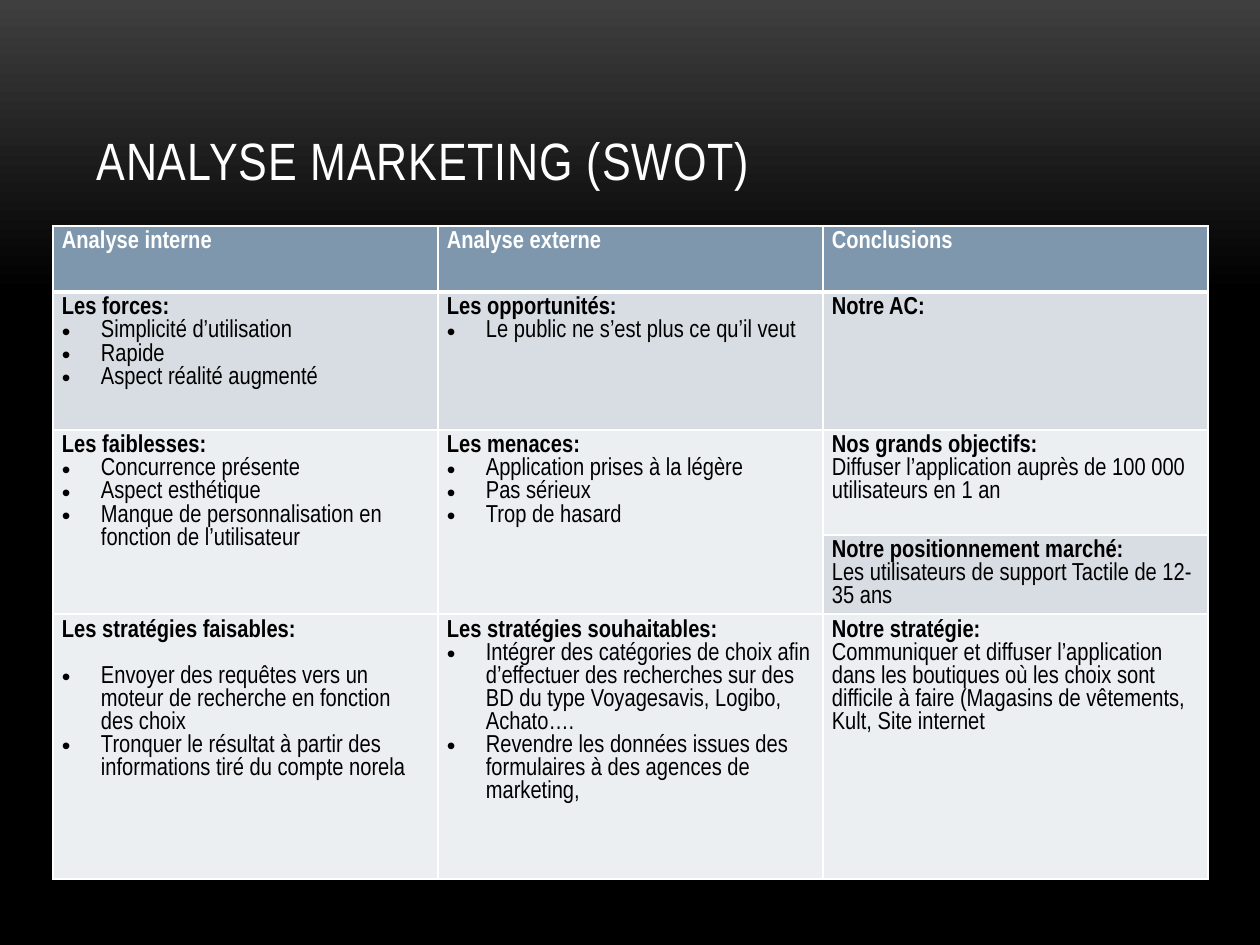
from dataclasses import dataclass

from lxml import etree
from pptx import Presentation
from pptx.dml.color import RGBColor
from pptx.enum.text import MSO_ANCHOR, PP_ALIGN
from pptx.oxml.ns import qn
from pptx.util import Emu, Pt

BOTTOM, TOP = MSO_ANCHOR.BOTTOM, MSO_ANCHOR.TOP
LEFT = PP_ALIGN.LEFT
PIXEL = 914400 // 126
TITLE_ONLY = 5


@dataclass(frozen=True)
class Theme:
    """Colours, font and type sizes of the slide."""
    font: str = "Arial Narrow"
    title_size: int = 30
    body_size: int = 14
    glow: str = "3F3F3F"
    black: str = "000000"
    white: str = "FFFFFF"
    header: str = "7E97AD"
    dark_band: str = "D8DDE3"
    light_band: str = "ECEFF1"


THEME = Theme()
COLUMN_WIDTH = 385
ROW_HEIGHTS = [66, 138, 105, 78, 265]
ROW_FILLS = [THEME.header, THEME.dark_band, THEME.light_band,
             THEME.dark_band, THEME.light_band]
HEADINGS = ["Analyse interne", "Analyse externe", "Conclusions"]

# (row, column): heading, bulleted?, paragraphs
CONTENT = {
    (1, 0): ("Les forces:", True, [
        "Simplicité d’utilisation", "Rapide", "Aspect réalité augmenté"]),
    (1, 1): ("Les opportunités:", True, [
        "Le public ne s’est plus ce qu’il veut"]),
    (1, 2): ("Notre AC:", False, []),
    (2, 0): ("Les faiblesses:", True, [
        "Concurrence présente", "Aspect esthétique",
        "Manque de personnalisation en fonction de l’utilisateur"]),
    (2, 1): ("Les menaces:", True, [
        "Application prises à la légère", "Pas sérieux", "Trop de hasard"]),
    (2, 2): ("Nos grands objectifs:", False, [
        "Diffuser l’application auprès de 100 000 utilisateurs en 1 an"]),
    (3, 2): ("Notre positionnement marché:", False, [
        "Les utilisateurs de support Tactile de 12-35 ans"]),
    (4, 0): ("Les stratégies faisables:", True, [
        "Envoyer des requêtes vers un moteur de recherche en fonction des choix",
        "Tronquer le résultat à partir des informations tiré du compte norela"]),
    (4, 1): ("Les stratégies souhaitables:", True, [
        "Intégrer des catégories de choix afin d’effectuer des recherches sur "
        "des BD du type Voyagesavis, Logibo, Achato….",
        "Revendre les données issues des formulaires à des agences de marketing,"]),
    (4, 2): ("Notre stratégie:", False, [
        "Communiquer et diffuser l’application dans les boutiques où les choix "
        "sont difficile à faire (Magasins de vêtements, Kult, Site internet"]),
}
SPACED_HEADING = (4, 0)


def px(length):
    """Turn pixels into EMU."""
    return Emu(length * PIXEL)


def add_span(para, text, size, color, bold=False):
    """Add one formatted run to a paragraph."""
    span = para.add_run()
    span.text = text
    font = span.font
    font.name, font.size, font.bold = THEME.font, Pt(size), bold
    font.color.rgb = RGBColor.from_string(color)
    return span


def set_bullet(para):
    """Give a paragraph a hanging bullet."""
    properties = para._p.get_or_add_pPr()
    properties.set("marL", str(px(39)))
    properties.set("indent", str(-px(39)))
    etree.SubElement(properties, qn("a:buFont")).set("typeface", "Arial")
    etree.SubElement(properties, qn("a:buChar")).set("char", "•")


def set_borders(cell, widths):
    """Draw white cell borders; widths are points by side tag."""
    properties = cell._tc.get_or_add_tcPr()
    for index, (side, width) in enumerate(widths.items()):
        line = etree.Element(qn(f"a:{side}"), w=str(Pt(width)))
        fill = etree.SubElement(line, qn("a:solidFill"))
        etree.SubElement(fill, qn("a:srgbClr")).set("val", THEME.white)
        properties.insert(index, line)


def format_cell(cell, row):
    """Set fill, margins, anchor and borders of a cell."""
    cell.fill.solid()
    cell.fill.fore_color.rgb = RGBColor.from_string(ROW_FILLS[row])
    cell.margin_left = cell.margin_right = px(9)
    cell.margin_top = cell.margin_bottom = px(5)
    cell.vertical_anchor = TOP
    set_borders(cell, {"lnL": 1, "lnR": 1, "lnT": 3 if row == 1 else 1,
                       "lnB": 3 if row == 0 else 1})


def fill_cell(cell, heading, bulleted, items):
    """Write a bold heading and its paragraphs."""
    frame = cell.text_frame
    add_span(frame.paragraphs[0], heading, THEME.body_size, THEME.black, True)
    for item in items:
        para = frame.add_paragraph()
        if bulleted:
            set_bullet(para)
        add_span(para, item, THEME.body_size, THEME.black)


def add_swot_table(page):
    """Add the analysis table."""
    columns, rows = len(HEADINGS), len(ROW_HEIGHTS)
    table = page.shapes.add_table(
        rows, columns, px(53), px(226),
        px(COLUMN_WIDTH * columns), px(sum(ROW_HEIGHTS))).table
    for column in table.columns:
        column.width = px(COLUMN_WIDTH)
    for row, height in enumerate(ROW_HEIGHTS):
        table.rows[row].height = px(height)
        for column in range(columns):
            format_cell(table.cell(row, column), row)
    for column, heading in enumerate(HEADINGS):
        add_span(table.cell(0, column).text_frame.paragraphs[0], heading,
                 THEME.body_size, THEME.white, True)
    for column in (0, 1):
        table.cell(2, column).merge(table.cell(3, column))
    for place, content in CONTENT.items():
        fill_cell(table.cell(*place), *content)
    table.cell(*SPACED_HEADING).text_frame.paragraphs[0].space_after = Pt(13.1)


def set_background(page):
    """Fade the background from grey at the top to black."""
    fill = page.background.fill
    fill.gradient()
    fill.gradient_angle = 270
    stops = zip(fill.gradient_stops, (0, 0.31), (THEME.glow, THEME.black))
    for stop, position, color in stops:
        stop.position = position
        stop.color.rgb = RGBColor.from_string(color)


def set_title(page, text):
    """Place and format the title placeholder."""
    title = page.shapes.title
    title.left, title.top, title.width, title.height = map(px, (84, 38, 1092, 157))
    frame = title.text_frame
    frame.word_wrap = True
    frame.vertical_anchor = BOTTOM
    frame.margin_bottom = px(4)
    para = frame.paragraphs[0]
    para.alignment = LEFT
    span = add_span(para, text, THEME.title_size, THEME.white)
    span.font._element.set("spc", "50")


def main():
    """Build and save the deck."""
    deck = Presentation()
    deck.slide_width, deck.slide_height = px(1260), px(945)
    page = deck.slides.add_slide(deck.slide_layouts[TITLE_ONLY])
    set_background(page)
    set_title(page, "ANALYSE MARKETING (SWOT)")
    add_swot_table(page)
    deck.save("out.pptx")


main()
